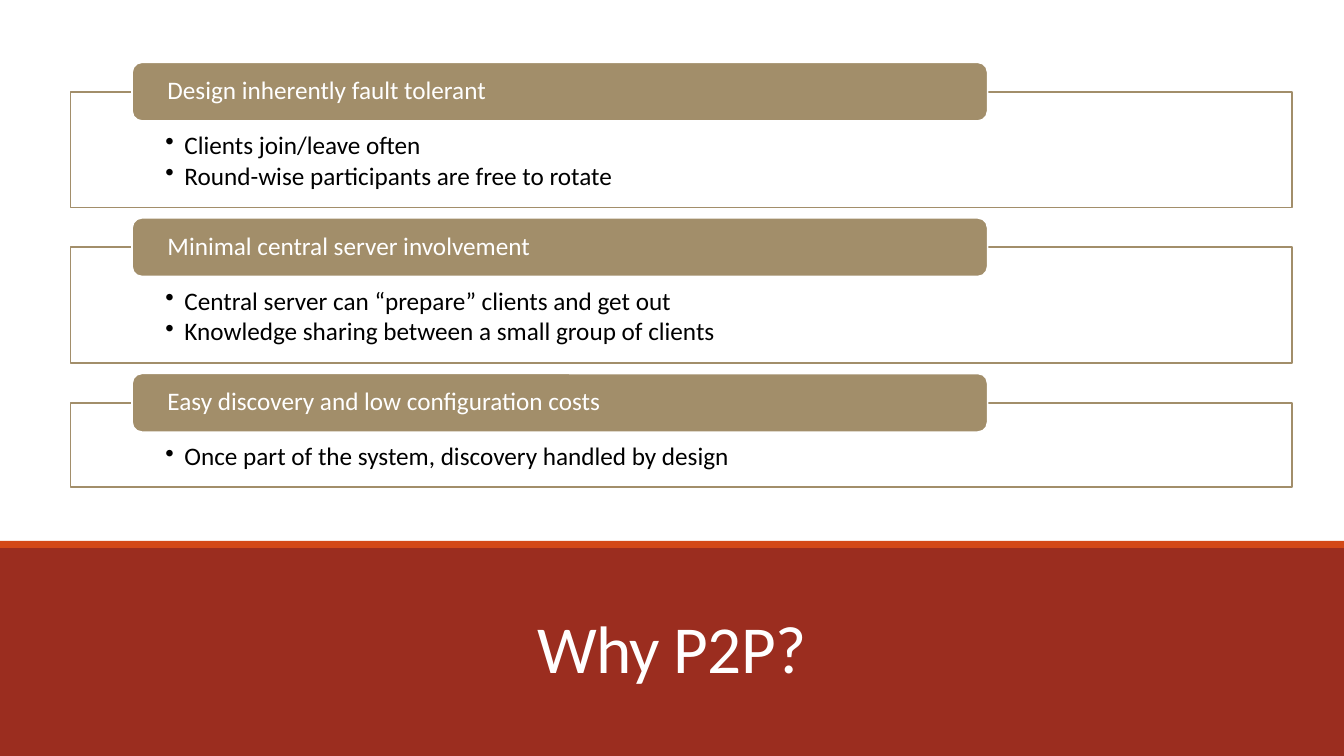
from dataclasses import dataclass

from lxml import etree
from pptx import Presentation
from pptx.dml.color import RGBColor
from pptx.enum.shapes import MSO_SHAPE
from pptx.enum.text import MSO_ANCHOR, MSO_AUTO_SIZE, PP_ALIGN
from pptx.oxml.ns import qn
from pptx.util import Cm, Pt

RECTANGLE = MSO_SHAPE.RECTANGLE
ROUNDED = MSO_SHAPE.ROUNDED_RECTANGLE
TOP, MIDDLE, BOTTOM = MSO_ANCHOR.TOP, MSO_ANCHOR.MIDDLE, MSO_ANCHOR.BOTTOM
LEFT, CENTER = PP_ALIGN.LEFT, PP_ALIGN.CENTER
NO_AUTOFIT = MSO_AUTO_SIZE.NONE
TITLE_ONLY = 5


@dataclass(frozen=True)
class Theme:
    font: str = "Calibri"
    white: RGBColor = RGBColor(0xFF, 0xFF, 0xFF)
    black: RGBColor = RGBColor(0x00, 0x00, 0x00)
    tan: RGBColor = RGBColor(0xA2, 0x8E, 0x6A)
    brick: RGBColor = RGBColor(0x9B, 0x2D, 0x1F)
    orange: RGBColor = RGBColor(0xD3, 0x48, 0x17)
    title_size: Pt = Pt(48)
    text_size: Pt = Pt(18)
    outline: Pt = Pt(1.25)


THEME = Theme()

REASONS = [
    ("Design inherently fault tolerant", Cm(2.92),
     ["Clients join/leave often",
      "Round-wise participants are free to rotate"]),
    ("Minimal central server involvement", Cm(2.92),
     ["Central server can “prepare” clients and get out",
      "Knowledge sharing between a small group of clients"]),
    ("Easy discovery and low configuration costs", Cm(2.13),
     ["Once part of the system, discovery handled by design"]),
]
FIRST_PANEL_TOP = Cm(2.31)
PANEL_GAP = Cm(1)
HEADING_HEIGHT = Cm(1.48)


def apply(target, values):
    for name, value in values.items():
        setattr(target, name, value)


def add_box(slide, kind, bounds, fill, outline=None):
    box = slide.shapes.add_shape(kind, *bounds)
    box.shadow.inherit = False
    box.fill.solid()
    box.fill.fore_color.rgb = fill
    if outline is None:
        box.line.fill.background()
    else:
        box.line.color.rgb = outline
        box.line.width = THEME.outline
    return box


def add_bullet(paragraph):
    properties = paragraph._p.get_or_add_pPr()
    properties.set("marL", str(Cm(0.48)))
    properties.set("indent", str(-Cm(0.48)))
    etree.SubElement(properties, qn("a:buChar")).set("char", "•")


def write(shape, lines, size, color, frame_format, paragraph_format, bulleted=False):
    frame = shape.text_frame
    apply(frame, {"word_wrap": True, "auto_size": NO_AUTOFIT, **frame_format})
    frame.text = "\n".join(lines)
    for paragraph in frame.paragraphs:
        if bulleted:
            add_bullet(paragraph)
        apply(paragraph, paragraph_format)
        for run in paragraph.runs:
            apply(run.font, {"name": THEME.font, "size": size})
            run.font.color.rgb = color


def add_title_band(slide, wording):
    width = Cm(33.87)
    add_box(slide, RECTANGLE, (0, Cm(13.77), width, Cm(5.28)), THEME.brick)
    add_box(slide, RECTANGLE, (0, Cm(13.63), width, Cm(0.18)), THEME.orange)
    title = slide.shapes.title
    apply(title, {"left": Cm(2.96), "top": Cm(14.58),
                  "width": Cm(27.94), "height": Cm(2.87)})
    write(title, [wording], THEME.title_size, THEME.white,
          {"vertical_anchor": BOTTOM},
          {"alignment": CENTER, "line_spacing": 0.85})
    for run in title.text_frame.paragraphs[0].runs:
        run.font._element.set("spc", "-50")
    title.element.getparent().append(title.element)


def add_reason(slide, top, height, heading, points):
    panel = add_box(slide, RECTANGLE, (Cm(1.78), top, Cm(30.78), height),
                    THEME.white, THEME.tan)
    write(panel, points, THEME.text_size, THEME.black,
          {"vertical_anchor": TOP, "margin_left": Cm(2.39), "margin_right": Cm(2.39),
           "margin_top": Cm(1.04), "margin_bottom": Cm(0.36)},
          {"level": 1, "alignment": LEFT, "line_spacing": 0.9, "space_after": Pt(2.5)},
          bulleted=True)
    label = add_box(slide, ROUNDED,
                    (Cm(3.33), top - HEADING_HEIGHT // 2, Cm(21.56), HEADING_HEIGHT),
                    THEME.tan, THEME.white)
    write(label, [heading], THEME.text_size, THEME.white,
          {"vertical_anchor": MIDDLE, "margin_left": Cm(0.82), "margin_right": Cm(0.82),
           "margin_top": 0, "margin_bottom": 0},
          {"alignment": LEFT, "line_spacing": 0.9})


def main():
    deck = Presentation()
    apply(deck, {"slide_width": Cm(33.87), "slide_height": Cm(19.05)})
    slide = deck.slides.add_slide(deck.slide_layouts[TITLE_ONLY])
    add_title_band(slide, "Why P2P?")
    top = FIRST_PANEL_TOP
    for heading, height, points in REASONS:
        add_reason(slide, top, height, heading, points)
        top += height + PANEL_GAP
    deck.save("out.pptx")


if __name__ == "__main__":
    main()
